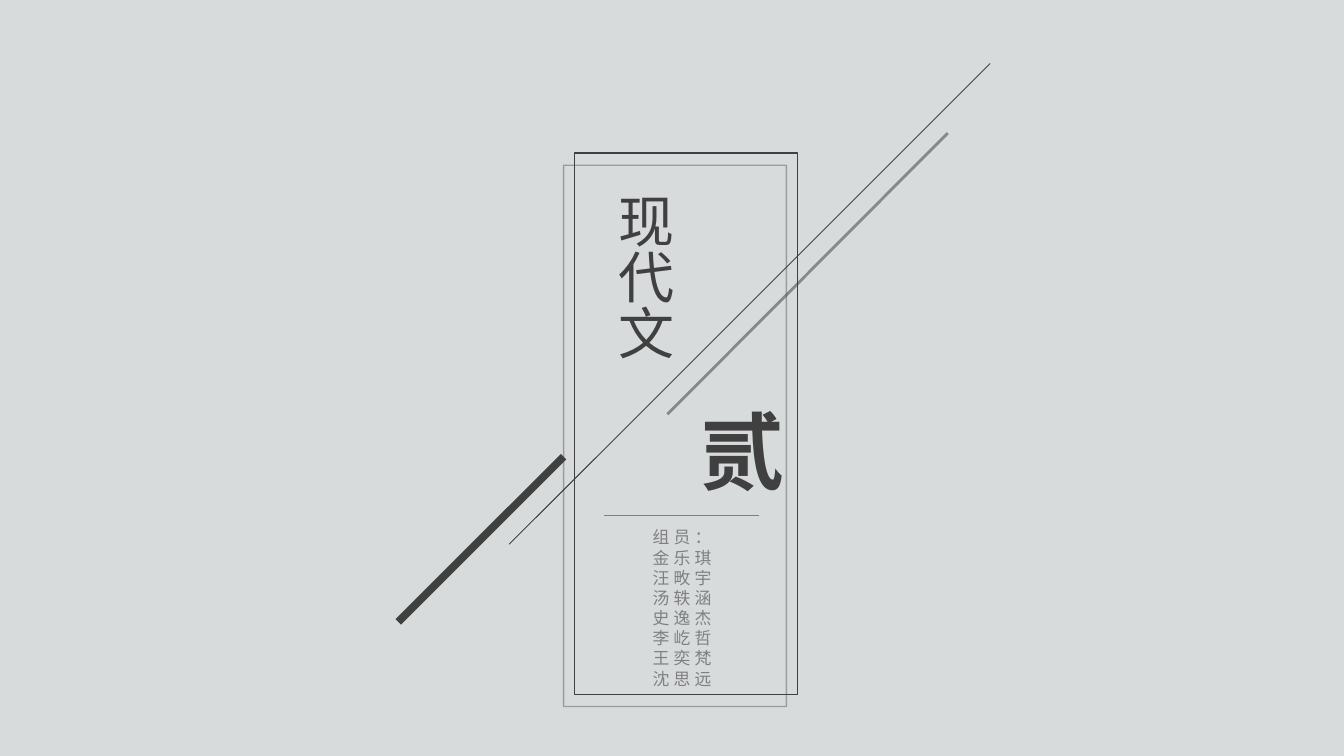
from lxml import etree
from pptx import Presentation
from pptx.dml.color import RGBColor
from pptx.enum import shapes, text
from pptx.oxml import ns
from pptx.util import Inches, Pt

PAPER = RGBColor(0xD7, 0xDB, 0xDC)
DARK = RGBColor(0x40, 0x40, 0x40)
BLACK = RGBColor(0x26, 0x26, 0x26)
GRAY = RGBColor(0x80, 0x80, 0x80)
CJK = "Noto Sans CJK SC"

FRAME_SIZE = (2.21, 5.37)
BACK_FRAME = (5.59, 1.64)
FRONT_FRAME = (5.7, 1.52)
LONG_DIAGONAL = (5.05, 5.4, 9.82, 0.63)
THICK_DIAGONAL = (5.59, 4.53, 3.95, 6.17)
FAINT_DIAGONAL = (9.4, 1.32, 6.62, 4.11)
DIVIDER = (5.99, 5.11, 7.53, 5.11)

TITLE = ("现代文", (5.89, 1.82, 0.88, 1.99), 40, False)
NUMBER = ("贰", (6.67, 3.97, 1.21, 1.03), 60, True)
MEMBERS_AT = (5.98, 5.18, 1.57, 1.72)
MEMBERS = [
    ("组员：", "Arial Narrow"),
    *[(name, "Calibri") for name in (
        "金乐琪", "汪畋宇", "汤轶涵", "史逸杰", "李屹哲", "王奕梵", "沈思远")],
]


def style_line(line, color, width, opacity=None):
    line.color.rgb = color
    line.width = Pt(width)
    if opacity is not None:
        tint = line.fill._xPr.find(".//" + ns.qn("a:srgbClr"))
        etree.SubElement(tint, ns.qn("a:alpha"), val=str(opacity * 1000))


def add_frame(page, corner, opacity=None):
    frame = page.shapes.add_shape(
        shapes.MSO_SHAPE.RECTANGLE, *map(Inches, corner + FRAME_SIZE))
    frame.shadow.inherit = False
    frame.fill.background()
    style_line(frame.line, DARK, 1, opacity)


def add_stroke(page, ends, color, width, opacity=None):
    stroke = page.shapes.add_connector(
        shapes.MSO_CONNECTOR.STRAIGHT, *map(Inches, ends))
    style_line(stroke.line, color, width, opacity)
    etree.SubElement(stroke._element.spPr, ns.qn("a:effectLst"))


def add_box(page, area, vertical=False):
    box = page.shapes.add_textbox(*map(Inches, area))
    frame = box.text_frame
    frame.word_wrap = True
    frame.auto_size = text.MSO_AUTO_SIZE.SHAPE_TO_FIT_TEXT
    if vertical:
        frame._txBody.bodyPr.set("vert", "eaVert")
    return frame


def add_span(para, words, font, size, color, bold=False, spacing=0):
    span = para.add_run()
    span.text = words
    span.font.size = Pt(size)
    span.font.bold = bold
    span.font.color.rgb = color
    span.font.name = font
    props = span._r.get_or_add_rPr()
    props.set("lang", "zh-CN")
    if spacing:
        props.set("spc", str(spacing * 100))
    etree.SubElement(props, ns.qn("a:ea"), typeface=font)


def add_vertical(page, words, area, size, bold):
    para = add_box(page, area, vertical=True).paragraphs[0]
    para.alignment = text.PP_ALIGN.JUSTIFY
    add_span(para, words, CJK, size, DARK, bold)


def add_members(page):
    frame = add_box(page, MEMBERS_AT)
    for index, (name, font) in enumerate(MEMBERS):
        para = frame.add_paragraph() if index else frame.paragraphs[0]
        para.alignment = text.PP_ALIGN.CENTER
        add_span(para, name, font, 12, GRAY, spacing=3)


def main():
    deck = Presentation()
    deck.slide_width = Inches(13.33)
    deck.slide_height = Inches(7.5)
    page = deck.slides.add_slide(deck.slide_layouts[6])
    page.background.fill.solid()
    page.background.fill.fore_color.rgb = PAPER

    add_frame(page, BACK_FRAME, opacity=40)
    add_stroke(page, LONG_DIAGONAL, BLACK, 0.5)
    add_frame(page, FRONT_FRAME)
    add_vertical(page, *TITLE)
    add_stroke(page, THICK_DIAGONAL, DARK, 5.5)
    add_stroke(page, FAINT_DIAGONAL, DARK, 0, opacity=52)
    add_members(page)
    add_stroke(page, DIVIDER, GRAY, 0.5)
    add_vertical(page, *NUMBER)
    deck.save("out.pptx")


if __name__ == "__main__":
    main()
